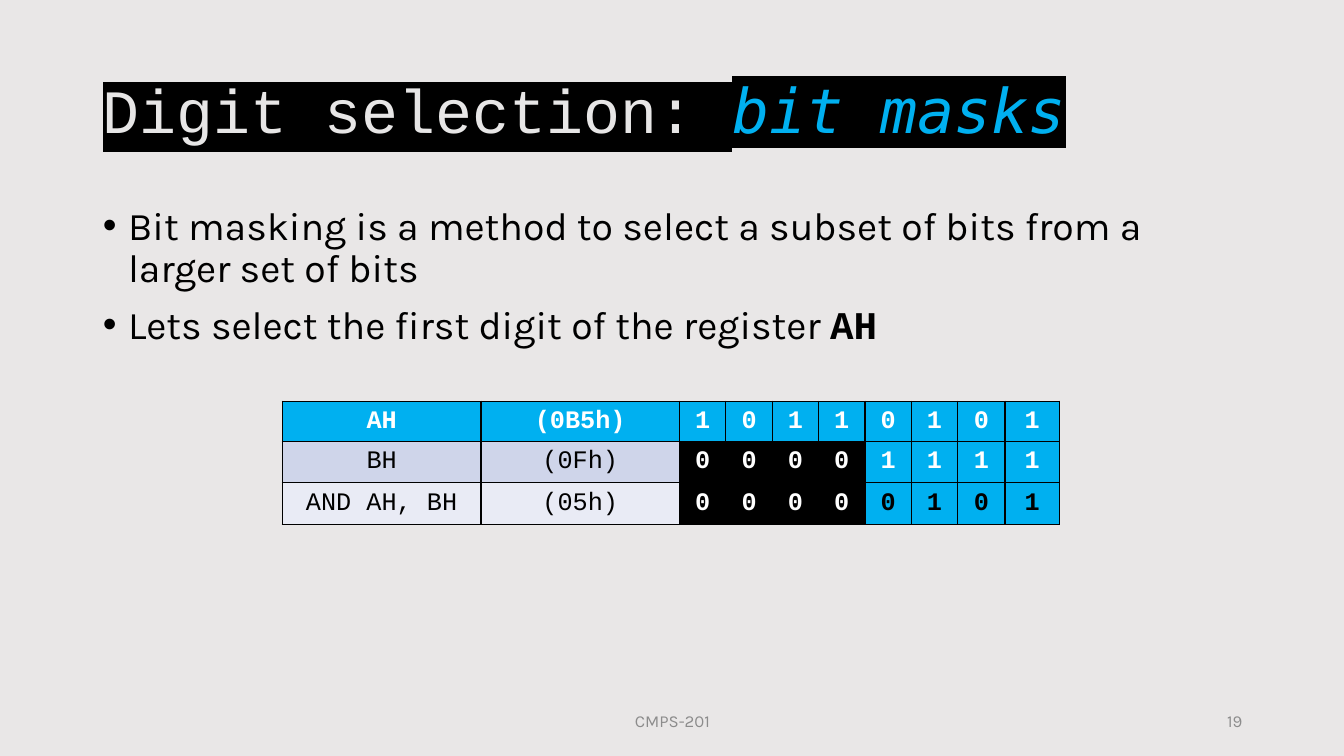
"""Build the slide on selecting digits with bit masks."""
from dataclasses import dataclass

from lxml.etree import SubElement
from pptx import Presentation
from pptx.dml.color import RGBColor
from pptx.enum.text import MSO_ANCHOR, MSO_AUTO_SIZE, PP_ALIGN
from pptx.oxml import parse_xml
from pptx.oxml.ns import nsdecls, qn
from pptx.util import Inches, Pt

BLACK = RGBColor(0x00, 0x00, 0x00)
WHITE = RGBColor(0xFF, 0xFF, 0xFF)
BLUE = RGBColor(0x00, 0xB0, 0xF0)
LAVENDER = RGBColor(0xCF, 0xD5, 0xEA)
PALE = RGBColor(0xE9, 0xEB, 0xF5)
BACKGROUND = RGBColor(0xE9, 0xE7, 0xE7)
TITLE_GREY = RGBColor(0xE7, 0xE6, 0xE6)
FOOTER_GREY = RGBColor(0x8C, 0x8C, 0x8C)
CODE = "Courier New"
TEXT = "Karla"
COLUMN_WIDTHS = [1.97] * 2 + [0.46] * 6 + [0.47, 0.54]
ROW_HEIGHTS = [0.38, 0.41, 0.41]
HIGH_BITS = 4


@dataclass(frozen=True)
class CellStyle:
    """Fill and font of a table cell."""
    fill: RGBColor
    color: RGBColor
    bold: bool = True


@dataclass(frozen=True)
class Register:
    """One table row: label, value, bits and the styles of its parts."""
    label: str
    value: str
    bits: str
    name_style: CellStyle
    high_style: CellStyle
    low_style: CellStyle


@dataclass(frozen=True)
class Footer:
    """A small line of text at the foot of the slide."""
    text: str
    left: float
    width: float
    align: PP_ALIGN


HEADER = CellStyle(BLUE, WHITE)
MASKED = CellStyle(BLACK, WHITE)
REGISTERS = [
    Register("AH", "(0B5h)", "10110101", HEADER, HEADER, HEADER),
    Register("BH", "(0Fh)", "00001111", CellStyle(LAVENDER, BLACK, False), MASKED, HEADER),
    Register("AND AH, BH", "(05h)", "00000101", CellStyle(PALE, BLACK, False), MASKED,
             CellStyle(BLUE, BLACK)),
]
FOOTERS = [
    Footer("CMPS-201", 4.42, 4.5, PP_ALIGN.CENTER),
    Footer("19", 9.42, 3, PP_ALIGN.RIGHT),
]


def add_text(paragraph, text: str, *, size: float, font: str = TEXT, color: RGBColor = BLACK,
             bold: bool = False, italic: bool = False, highlight: RGBColor | None = None) -> None:
    """Append a formatted run to a paragraph."""
    run = paragraph.add_run()
    run.text = text
    run.font.size = Pt(size)
    run.font.name = font
    run.font.bold = bold
    run.font.italic = italic
    run.font.color.rgb = color
    if highlight is not None:
        mark = parse_xml(f'<a:highlight {nsdecls("a")}><a:srgbClr val="{highlight}"/></a:highlight>')
        run.font._element.find(qn("a:solidFill")).addnext(mark)


def place(shape, left: float, top: float, width: float, height: float) -> None:
    """Move and size a shape."""
    shape.left, shape.top = Inches(left), Inches(top)
    shape.width, shape.height = Inches(width), Inches(height)


def fill_title(title) -> None:
    """Write the highlighted title."""
    place(title, 0.92, 0.4, 11.5, 1.45)
    title.text_frame.auto_size = MSO_AUTO_SIZE.NONE
    title.text_frame.vertical_anchor = MSO_ANCHOR.MIDDLE
    heading = title.text_frame.paragraphs[0]
    heading.alignment = PP_ALIGN.LEFT
    heading.line_spacing = 0.9
    add_text(heading, "Digit selection: ", size=44, font=CODE, color=TITLE_GREY, highlight=BLACK)
    add_text(heading, "bit masks", size=44, font="DejaVu Sans Mono", color=BLUE, italic=True,
             highlight=BLACK)


def format_bullet(paragraph) -> None:
    """Give a paragraph its bullet, indent and spacing."""
    paragraph.line_spacing = 0.9
    paragraph.space_before = Pt(10)
    properties = paragraph._p.get_or_add_pPr()
    properties.set("marL", str(Inches(0.25)))
    properties.set("indent", str(Inches(-0.25)))
    SubElement(properties, qn("a:buFont"), typeface="Arial")
    SubElement(properties, qn("a:buChar"), char="•")


def fill_body(body) -> None:
    """Write the bulleted explanation."""
    place(body, 0.92, 2, 11.5, 4.76)
    body.text_frame.auto_size = MSO_AUTO_SIZE.NONE
    method = body.text_frame.paragraphs[0]
    example = body.text_frame.add_paragraph()
    for point in (method, example):
        format_bullet(point)
    add_text(method, "Bit masking is a method to select a subset of bits from a larger set of bits",
             size=28)
    add_text(example, "Lets select the first digit of the register ", size=28)
    add_text(example, "AH", size=28, font=CODE, bold=True)


def format_cell(cell, text: str, style: CellStyle) -> None:
    """Write one cell with its fill and borders."""
    cell.fill.solid()
    cell.fill.fore_color.rgb = style.fill
    cell.vertical_anchor = MSO_ANCHOR.MIDDLE
    entry = cell.text_frame.paragraphs[0]
    entry.alignment = PP_ALIGN.CENTER
    add_text(entry, text, size=18, font=CODE, color=style.color, bold=style.bold)
    for index, side in enumerate(("lnL", "lnR", "lnT", "lnB")):
        border = parse_xml(
            f'<a:{side} {nsdecls("a")} w="{Pt(1)}"><a:solidFill>'
            f'<a:srgbClr val="{BLACK}"/></a:solidFill></a:{side}>')
        cell._tc.get_or_add_tcPr().insert(index, border)


def add_registers(slide) -> None:
    """Draw the table of registers and their bits."""
    table = slide.shapes.add_table(
        len(REGISTERS), len(COLUMN_WIDTHS), Inches(2.8), Inches(3.98),
        Inches(sum(COLUMN_WIDTHS)), Inches(sum(ROW_HEIGHTS))).table
    for column, width in zip(table.columns, COLUMN_WIDTHS):
        column.width = Inches(width)
    for row, height, register in zip(table.rows, ROW_HEIGHTS, REGISTERS):
        row.height = Inches(height)
        texts = [register.label, register.value, *register.bits]
        low_bits = len(register.bits) - HIGH_BITS
        styles = ([register.name_style] * 2 + [register.high_style] * HIGH_BITS
                  + [register.low_style] * low_bits)
        for cell, text, style in zip(row.cells, texts, styles):
            format_cell(cell, text, style)


def add_footer(slide, footer: Footer) -> None:
    """Draw one footer line."""
    frame = slide.shapes.add_textbox(
        Inches(footer.left), Inches(6.95), Inches(footer.width), Inches(0.4)).text_frame
    frame.word_wrap = True
    frame.vertical_anchor = MSO_ANCHOR.MIDDLE
    frame.paragraphs[0].alignment = footer.align
    add_text(frame.paragraphs[0], footer.text, size=12, color=FOOTER_GREY)


def main() -> None:
    """Build and save the presentation."""
    presentation = Presentation()
    presentation.slide_width, presentation.slide_height = Inches(13.33), Inches(7.5)
    slide = presentation.slides.add_slide(presentation.slide_layouts[1])
    slide.background.fill.solid()
    slide.background.fill.fore_color.rgb = BACKGROUND
    fill_title(slide.shapes.title)
    fill_body(slide.placeholders[1])
    for footer in FOOTERS:
        add_footer(slide, footer)
    add_registers(slide)
    presentation.save("out.pptx")


if __name__ == "__main__":
    main()
